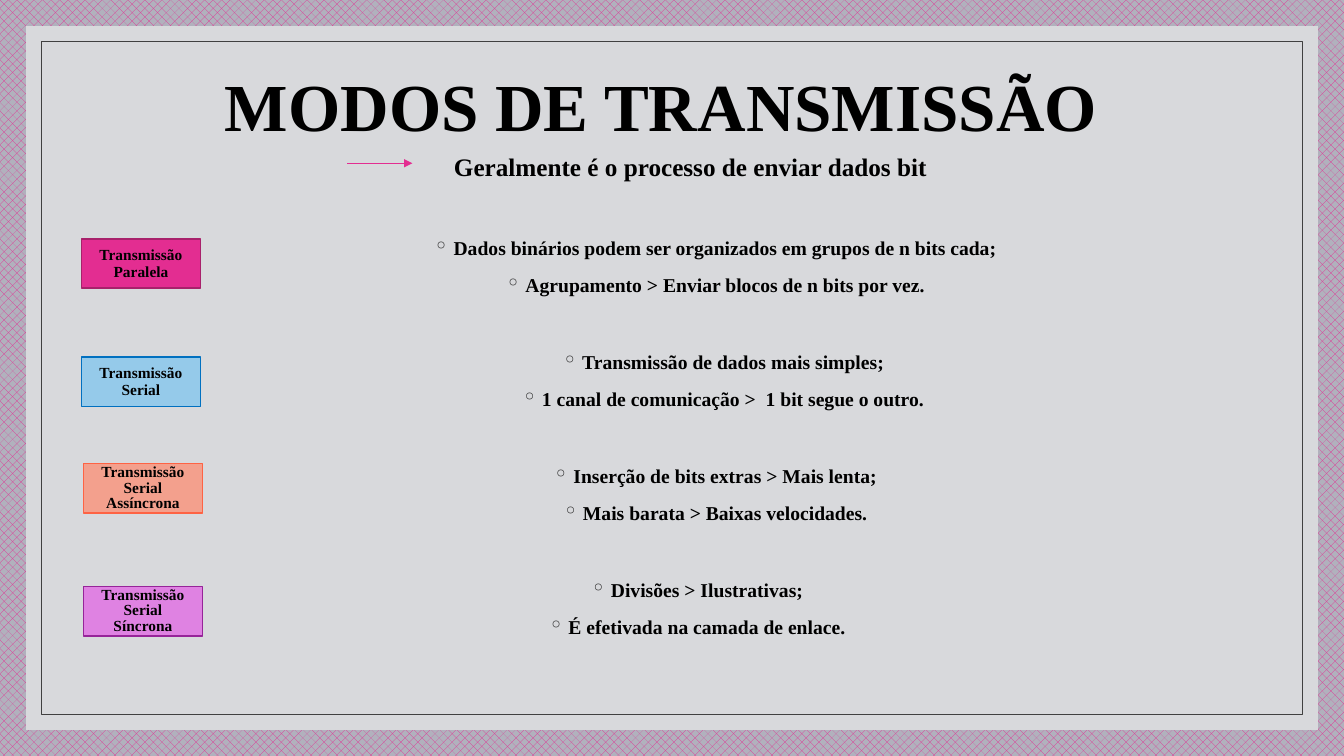
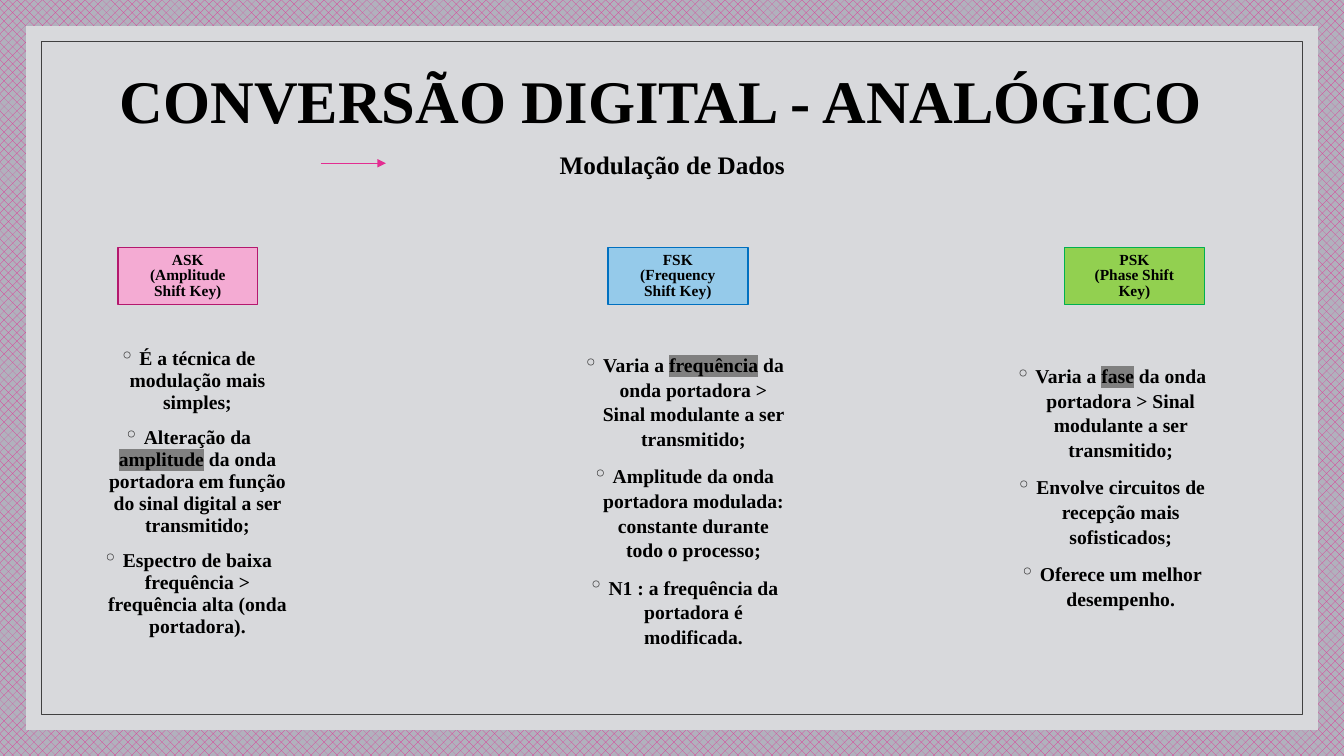
import dataclasses

import lxml.etree
import pptx
import pptx.dml.color
import pptx.enum.dml
import pptx.enum.shapes
import pptx.enum.text
import pptx.oxml.ns
import pptx.util

Pt = pptx.util.Pt
qn = pptx.oxml.ns.qn
CENTER = pptx.enum.text.PP_ALIGN.CENTER
TOP = pptx.enum.text.MSO_ANCHOR.TOP
MIDDLE = pptx.enum.text.MSO_ANCHOR.MIDDLE


@dataclasses.dataclass(frozen=True)
class Theme:
    font: str = "Times New Roman"
    text: str = "000000"
    accent: str = "E32D91"
    backdrop: str = "B1B1BD"
    panel: str = "D8D9DC"
    frame: str = "404040"
    bullet: str = "262626"
    highlight: str = "808080"
    pink: tuple = ("E32D91", "A8216B")
    light_pink: tuple = ("F4ABD3", "B4186E")
    blue: tuple = ("95CAEA", "0070C0")
    coral: tuple = ("F3A08D", "FE6344")
    violet: tuple = ("DF82E2", "962499")
    green: tuple = ("92D050", "00B050")
    subtitle_size: float = 18
    body_size: float = 14
    label_size: float = 11
    paragraph_gap: float = 9
    bullet_indent: float = 14.4
    normal_spacing: float = 1.05
    tight_spacing: float = 0.94
    dense_spacing: float = 0.84


THEME = Theme()
SLIDE_WIDTH, SLIDE_HEIGHT = 960, 540


def color(value):
    return pptx.dml.color.RGBColor.from_string(value)


def points(box):
    return [Pt(length) for length in box]


def format_paragraph(paragraph, size, spacing, gap=0):
    paragraph.alignment = CENTER
    paragraph.line_spacing = spacing
    paragraph.space_before = Pt(gap)
    font = paragraph.font
    font.name = THEME.font
    font.size = Pt(size)
    font.bold = True
    font.color.rgb = color(THEME.text)


def set_up_frame(text_frame, anchor, horizontal_inset=7.2, vertical_inset=3.6):
    text_frame.word_wrap = True
    text_frame.auto_size = pptx.enum.text.MSO_AUTO_SIZE.NONE
    text_frame.vertical_anchor = anchor
    text_frame.margin_left = text_frame.margin_right = Pt(horizontal_inset)
    text_frame.margin_top = text_frame.margin_bottom = Pt(vertical_inset)


def fill_frame(text_frame, lines, size, spacing, gap=0, bulleted=False):
    for index, line in enumerate(lines):
        paragraph = text_frame.add_paragraph() if index else text_frame.paragraphs[0]
        for position, part in enumerate(line.split("|")):
            run = paragraph.add_run()
            run.text = part
            if position % 2:
                add_highlight(run)
        if bulleted:
            add_bullet(paragraph)
        format_paragraph(paragraph, size, spacing, gap)


def add_highlight(run):
    highlight = lxml.etree.SubElement(run._r.get_or_add_rPr(), qn("a:highlight"))
    lxml.etree.SubElement(highlight, qn("a:srgbClr"), val=THEME.highlight)


def add_bullet(paragraph):
    properties = paragraph._p.get_or_add_pPr()
    indent = Pt(THEME.bullet_indent)
    properties.set("marL", str(indent))
    properties.set("indent", str(-indent))
    bullet_color = lxml.etree.SubElement(properties, qn("a:buClr"))
    lxml.etree.SubElement(bullet_color, qn("a:srgbClr"), val=THEME.bullet)
    lxml.etree.SubElement(properties, qn("a:buChar"), char="◦")


def add_rectangle(slide, box, fill=None, line=None, line_width=1):
    shape = slide.shapes.add_shape(pptx.enum.shapes.MSO_SHAPE.RECTANGLE, *points(box))
    shape.shadow.inherit = False
    if fill:
        shape.fill.solid()
        shape.fill.fore_color.rgb = color(fill)
    else:
        shape.fill.background()
    if line:
        shape.line.color.rgb = color(line)
        shape.line.width = Pt(line_width)
    else:
        shape.line.fill.background()
    return shape


def add_label(slide, box, lines, colors, spacing):
    fill, line = colors
    label = add_rectangle(slide, box, fill, line)
    set_up_frame(label.text_frame, MIDDLE, 12 if box[2] >= 100 else 0, 0)
    fill_frame(label.text_frame, lines, THEME.label_size, spacing)


def add_text(slide, box, lines, size, spacing, bulleted=False):
    text_frame = slide.shapes.add_textbox(*points(box)).text_frame
    set_up_frame(text_frame, TOP)
    fill_frame(text_frame, lines, size, spacing, THEME.paragraph_gap, bulleted)


def add_arrow(slide, left, top, length):
    arrow = slide.shapes.add_connector(
        pptx.enum.shapes.MSO_CONNECTOR.STRAIGHT, *points((left, top, left + length, top)))
    arrow.line.color.rgb = color(THEME.accent)
    arrow.line.width = Pt(0.5)
    lxml.etree.SubElement(arrow.line._get_or_add_ln(), qn("a:tailEnd"), type="triangle")
    lxml.etree.SubElement(arrow._element.spPr, qn("a:effectLst"))


def inset_box(margin):
    return margin, margin, SLIDE_WIDTH - 2 * margin, SLIDE_HEIGHT - 2 * margin


def set_background(presentation):
    fill = presentation.slide_master.background.fill
    fill.patterned()
    fill.pattern = pptx.enum.dml.MSO_PATTERN.from_xml("pct40")
    fill.fore_color.rgb = color(THEME.accent)
    fill.back_color.rgb = color(THEME.backdrop)


def add_framed_slide(presentation, title, title_top, title_size, subtitle, subtitle_at, arrow_left):
    slide = presentation.slides.add_slide(presentation.slide_layouts[5])
    add_rectangle(slide, inset_box(18.7), fill=THEME.panel)
    add_rectangle(slide, inset_box(29.5), line=THEME.frame, line_width=0.5)
    heading = slide.shapes.title
    slide.shapes._spTree.append(heading._element)
    heading.left, heading.top, heading.width, heading.height = points((76.3, title_top, 792, 108))
    set_up_frame(heading.text_frame, MIDDLE)
    fill_frame(heading.text_frame, [title], title_size, 0.9)
    add_text(slide, (*subtitle_at, 792, 46.8), [subtitle],
             THEME.subtitle_size, THEME.normal_spacing)
    add_arrow(slide, arrow_left, 116.6, 46.4)
    return slide


def add_mode_row(slide, label_at, list_at, name, colors, items):
    spacing = THEME.dense_spacing if len(name) > 2 else THEME.tight_spacing
    add_label(slide, (*label_at, 85, 35.3), name, colors, spacing)
    add_text(slide, (*list_at, 664.6, 55.4), items,
             THEME.body_size, THEME.normal_spacing, bulleted=True)


def add_modulation_column(slide, label_left, list_at, name, colors, spacing, items):
    add_label(slide, (label_left, 176.8, 100, 40.6), name, colors, THEME.dense_spacing)
    add_text(slide, (*list_at, 165.6, 222.5), items, THEME.body_size, spacing, bulleted=True)


def build_transmission_slide(presentation):
    slide = add_framed_slide(presentation, "MODOS DE TRANSMISSÃO", 24.5, 48,
                             "Geralmente é o processo de enviar dados bit", (97.2, 103.7), 248.2)
    rows = [
        ((58.2, 170.6), 178.6, ["Transmissão", "Paralela"], THEME.pink,
         ["Dados binários podem ser organizados em grupos de n bits cada;",
          "Agrupamento > Enviar blocos de n bits por vez."]),
        ((58.2, 254.9), 184.3, ["Transmissão", "Serial"], THEME.blue,
         ["Transmissão de dados mais simples;",
          "1 canal de comunicação >  1 bit segue o outro."]),
        ((59.6, 331.2), 178.6, ["Transmissão", "Serial", "Assíncrona"], THEME.coral,
         ["Inserção de bits extras > Mais lenta;", "Mais barata > Baixas velocidades."]),
        ((59.6, 419), 165.6, ["Transmissão", "Serial", "Síncrona"], THEME.violet,
         ["Divisões > Ilustrativas;", "É efetivada na camada de enlace."]),
    ]
    for index, (label_at, list_left, name, colors, items) in enumerate(rows):
        add_mode_row(slide, label_at, (list_left, 164.2 + 81.4 * index), name, colors, items)


def build_conversion_slide(presentation):
    slide = add_framed_slide(presentation, "CONVERSÃO DIGITAL - ANALÓGICO", 20.2, 43.2,
                             "Modulação de Dados", (84.2, 102.2), 229.2)
    columns = [
        (84.2, (51.1, 244.8), ["ASK", "(Amplitude Shift Key)"],
         THEME.light_pink, THEME.tight_spacing,
         ["É a técnica de modulação mais simples;",
          "Alteração da |amplitude| da onda portadora em função do sinal digital "
          "a ser transmitido;",
          "Espectro de baixa frequência > frequência alta (onda portadora)."]),
        (434.2, (405.4, 247.7), ["FSK", "(Frequency Shift Key)"],
         THEME.blue, THEME.normal_spacing,
         ["Varia a |frequência| da onda portadora > Sinal modulante a ser transmitido;",
          "Amplitude da onda portadora modulada: constante durante todo o processo;",
          "N1 : a frequência da portadora é modificada."]),
        (760.3, (710.6, 255.6), ["PSK", "(Phase Shift Key)"],
         THEME.green, THEME.normal_spacing,
         ["Varia a |fase| da onda portadora > Sinal modulante a ser transmitido;",
          "Envolve circuitos de recepção mais sofisticados;",
          "Oferece um melhor desempenho."]),
    ]
    for column in columns:
        add_modulation_column(slide, *column)


def main():
    presentation = pptx.Presentation()
    presentation.slide_width = Pt(SLIDE_WIDTH)
    presentation.slide_height = Pt(SLIDE_HEIGHT)
    set_background(presentation)
    build_transmission_slide(presentation)
    build_conversion_slide(presentation)
    presentation.save("out.pptx")


main()
